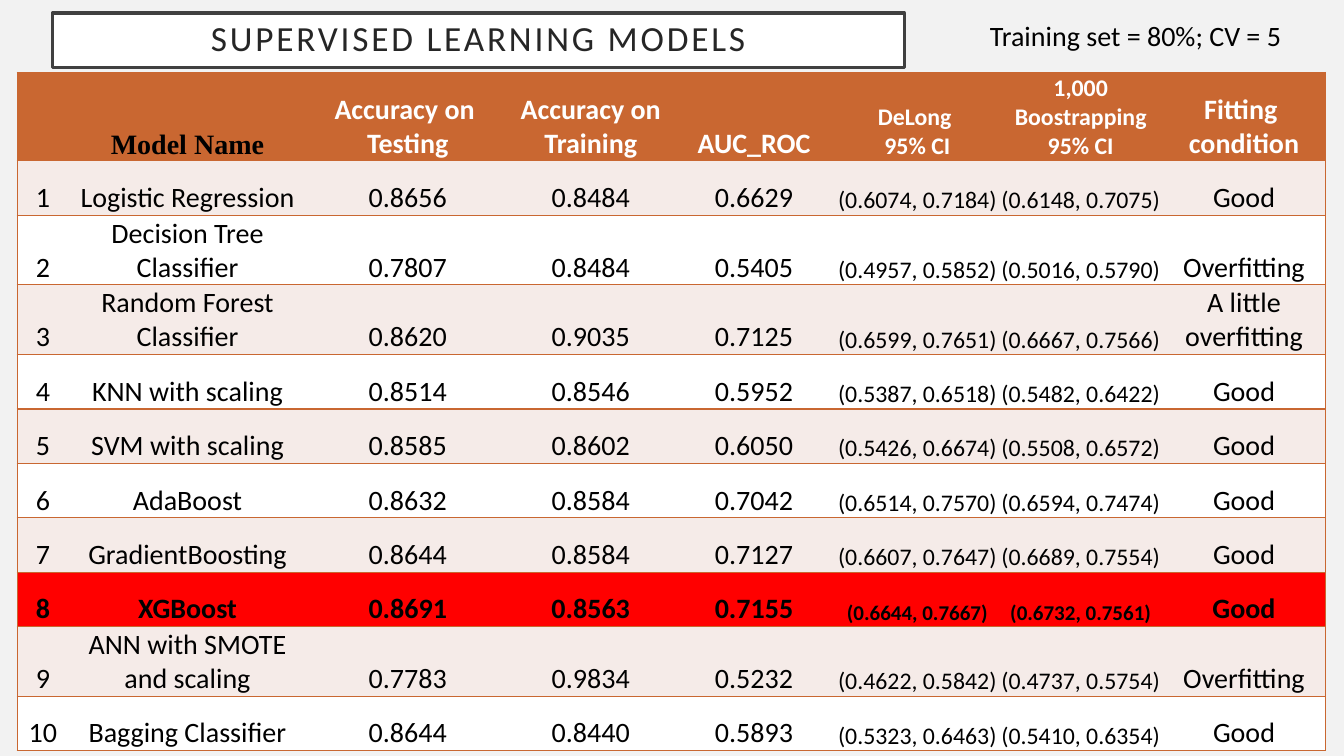
import pptx
import pptx.dml.color
import pptx.enum.text
import pptx.oxml
import pptx.oxml.ns
import pptx.util

Inches = pptx.util.Inches
Pt = pptx.util.Pt
RGBColor = pptx.dml.color.RGBColor
CENTER = pptx.enum.text.PP_ALIGN.CENTER
MIDDLE = pptx.enum.text.MSO_ANCHOR.MIDDLE
BOTTOM = pptx.enum.text.MSO_ANCHOR.BOTTOM
AUTO_SIZE = pptx.enum.text.MSO_AUTO_SIZE

BACKGROUND = RGBColor(0xF2, 0xF2, 0xF2)
WHITE = RGBColor(0xFF, 0xFF, 0xFF)
BLACK = RGBColor(0x00, 0x00, 0x00)
TITLE_TEXT = RGBColor(0x26, 0x26, 0x26)
TITLE_LINE = RGBColor(0x40, 0x40, 0x40)
ORANGE = RGBColor(0xC9, 0x67, 0x31)
PALE = RGBColor(0xF5, 0xEB, 0xE8)
RED = RGBColor(0xFF, 0x00, 0x00)

HEADERS = [
    "", "Model Name", "Accuracy on \nTesting", "Accuracy on Training", "AUC_ROC",
    "DeLong \n95% CI", "1,000 Boostrapping 95% CI", "Fitting \ncondition",
]
MODELS = [
    ("Logistic Regression", "0.8656", "0.8484", "0.6629", "(0.6074, 0.7184)", "(0.6148, 0.7075)", "Good"),
    ("Decision Tree Classifier", "0.7807", "0.8484", "0.5405", "(0.4957, 0.5852)", "(0.5016, 0.5790)", "Overfitting"),
    ("Random Forest Classifier", "0.8620", "0.9035", "0.7125", "(0.6599, 0.7651)", "(0.6667, 0.7566)", "A little overfitting"),
    ("KNN with scaling", "0.8514", "0.8546", "0.5952", "(0.5387, 0.6518)", "(0.5482, 0.6422)", "Good"),
    ("SVM with scaling", "0.8585", "0.8602", "0.6050", "(0.5426, 0.6674)", "(0.5508, 0.6572)", "Good"),
    ("AdaBoost", "0.8632", "0.8584", "0.7042", "(0.6514, 0.7570)", "(0.6594, 0.7474)", "Good"),
    ("GradientBoosting", "0.8644", "0.8584", "0.7127", "(0.6607, 0.7647)", "(0.6689, 0.7554)", "Good"),
    ("XGBoost", "0.8691", "0.8563", "0.7155", "(0.6644, 0.7667)", "(0.6732, 0.7561)", "Good"),
    ("ANN with SMOTE and scaling", "0.7783", "0.9834", "0.5232", "(0.4622, 0.5842)", "(0.4737, 0.5754)", "Overfitting"),
    ("Bagging Classifier", "0.8644", "0.8440", "0.5893", "(0.5323, 0.6463)", "(0.5410, 0.6354)", "Good"),
]
COLUMN_WIDTHS = [0.51, 2.36, 2.01] + [1.62] * 5
ROW_HEIGHT = 0.54
BEST_ROW = 8
INTERVAL_COLUMNS = (5, 6)
CELL_FORMAT = {
    "vertical_anchor": BOTTOM,
    "margin_left": Inches(0.01),
    "margin_right": Inches(0.01),
    "margin_top": Inches(0.01),
    "margin_bottom": 0,
}


def format_text(frame, color, **font_format):
    for para in frame.paragraphs:
        for span in para.runs:
            span.font.color.rgb = color
            for name, value in font_format.items():
                setattr(span.font, name, value)


def set_borders(cell, sides):
    """Draw the given sides (of L, R, T, B) in orange and hide the others."""
    properties = cell._tc.get_or_add_tcPr()
    for position, side in enumerate("LRTB"):
        paint = f'<a:solidFill><a:srgbClr val="{ORANGE}"/></a:solidFill>' if side in sides else "<a:noFill/>"
        border = f'<a:ln{side} {pptx.oxml.ns.nsdecls("a")} w="{Pt(1)}">{paint}</a:ln{side}>'
        properties.insert(position, pptx.oxml.parse_xml(border))


deck = pptx.Presentation()
deck.slide_width = Inches(13.33)
deck.slide_height = Inches(7.5)
slide = deck.slides.add_slide(deck.slide_layouts[5])
slide.background.fill.solid()
slide.background.fill.fore_color.rgb = BACKGROUND

# Title
title = slide.shapes.title
title.left, title.top, title.width, title.height = map(Inches, (0.52, 0.13, 8.45, 0.54))
title.fill.solid()
title.fill.fore_color.rgb = WHITE
title.line.color.rgb = TITLE_LINE
title.line.width = Pt(2.5)
title_frame = title.text_frame
title_frame.text = "SUPERVISED LEARNING MODELS"
title_frame.auto_size = AUTO_SIZE.NONE
title_frame.vertical_anchor = MIDDLE
for side in ("left", "right", "top", "bottom"):
    setattr(title_frame, f"margin_{side}", Inches(0.2))
title_para = title_frame.paragraphs[0]
title_para.alignment = CENTER
title_para.line_spacing = 0.9
format_text(title_frame, TITLE_TEXT, name="Calibri", size=Pt(25.2))
title_para.runs[0].font._element.set("spc", "200")

# Results table
rows = [HEADERS] + [(str(number), *model) for number, model in enumerate(MODELS, 1)]
table = slide.shapes.add_table(
    len(rows), len(HEADERS), Inches(0.17), Inches(0.72),
    Inches(sum(COLUMN_WIDTHS)), Inches(ROW_HEIGHT * len(rows)),
).table
for column, width in zip(table.columns, COLUMN_WIDTHS):
    column.width = Inches(width)

for row_index, row in enumerate(rows):
    table.rows[row_index].height = Inches(ROW_HEIGHT)
    is_header = row_index == 0
    is_best = row_index == BEST_ROW
    if is_header:
        row_fill = ORANGE
    elif is_best:
        row_fill = RED
    else:
        row_fill = PALE if row_index % 2 else WHITE

    for column_index, text in enumerate(row):
        cell = table.cell(row_index, column_index)
        cell.text = text
        for name, value in CELL_FORMAT.items():
            setattr(cell, name, value)
        cell.fill.solid()
        cell.fill.fore_color.rgb = row_fill
        for para in cell.text_frame.paragraphs:
            para.alignment = CENTER

        is_model_header = is_header and column_index == 1
        size = 20
        if column_index in INTERVAL_COLUMNS:
            size = 15 if is_best else 17
        format_text(
            cell.text_frame,
            WHITE if is_header and not is_model_header else BLACK,
            name="Times New Roman" if is_model_header else "Calibri",
            size=Pt(size),
            bold=is_header or is_best,
        )
        sides = "TB"
        if column_index == 0:
            sides += "L"
        elif column_index == len(row) - 1:
            sides += "R"
        set_borders(cell, sides)

# Training note
note = slide.shapes.add_textbox(Inches(9.72), Inches(0.13), Inches(3.23), Inches(0.44))
note.text_frame.text = "Training set = 80%; CV = 5"
note.text_frame.word_wrap = False
note.text_frame.auto_size = AUTO_SIZE.SHAPE_TO_FIT_TEXT
format_text(note.text_frame, BLACK, name="Calibri", size=Pt(20))

deck.save("out.pptx")
